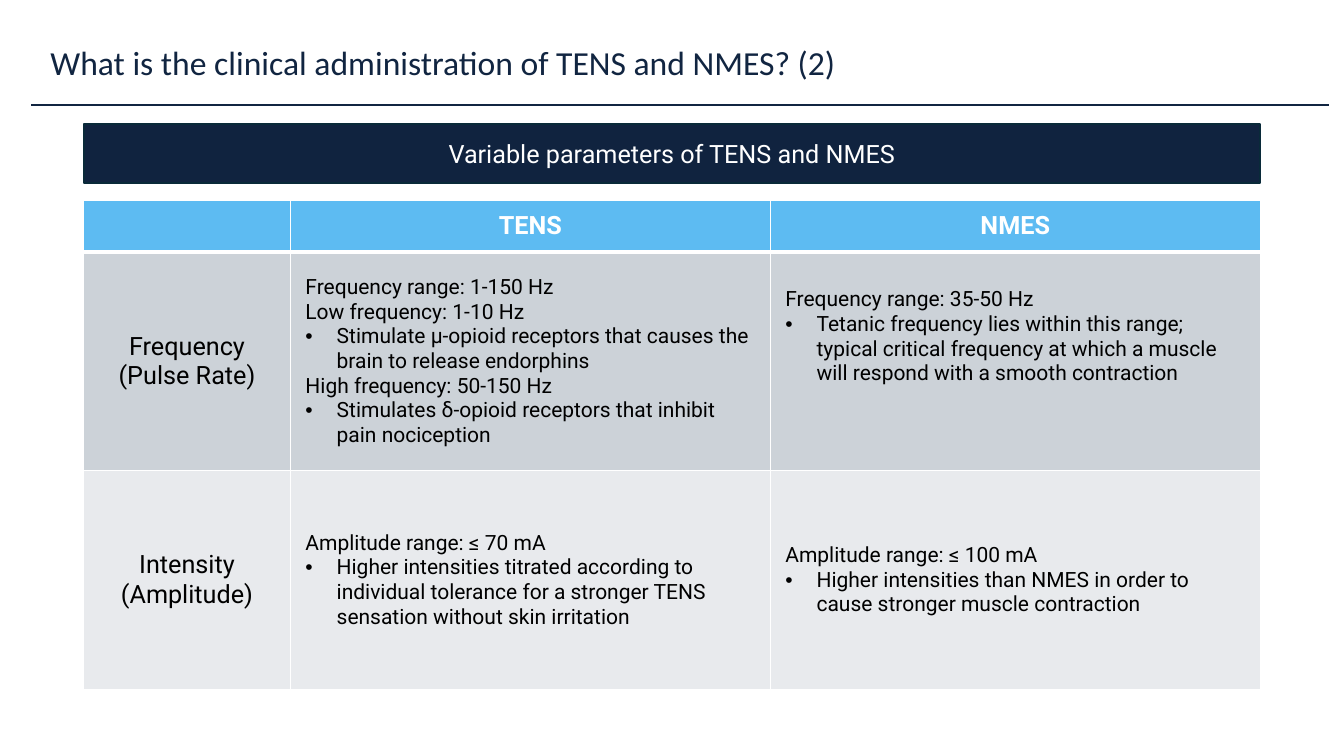
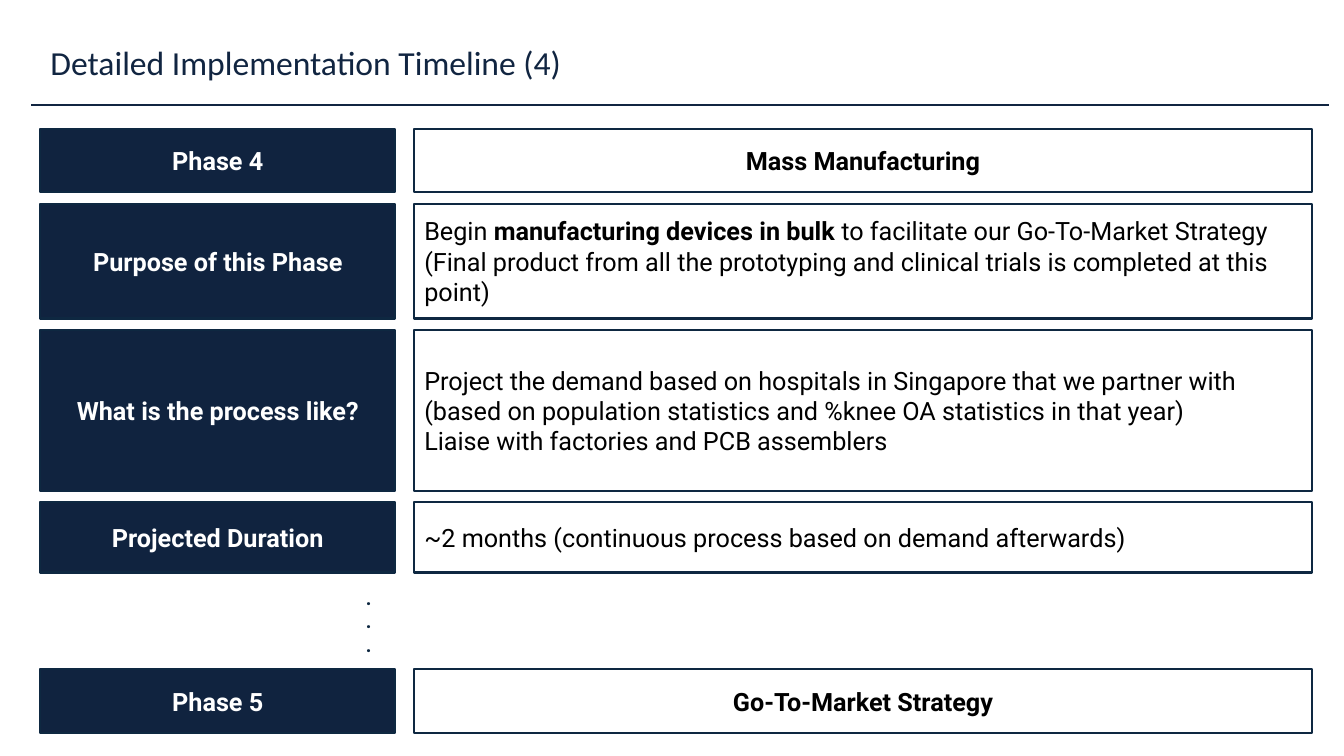
from lxml import etree
from pptx import Presentation
from pptx.dml.color import RGBColor
from pptx.enum.shapes import MSO_CONNECTOR, MSO_SHAPE
from pptx.enum.text import MSO_ANCHOR, MSO_AUTO_SIZE, PP_ALIGN
from pptx.oxml.ns import qn
from pptx.util import Inches, Pt

# Shared look
NAVY, TITLE_NAVY, OUTLINE, BANNER_LINE = "10233F", "112541", "0E2841", "092A39"
SKY, GREY, PALE, WHITE, BLACK = "5DBBF2", "CCD2D8", "E8EAED", "FFFFFF", "000000"
TITLE_FONT, BODY_FONT = "Calibri", "Roboto"
BULLET = "• "

# Two-column grid of the timeline
LABEL_LEFT, LABEL_WIDTH = 0.4, 3.52
DETAIL_LEFT, DETAIL_WIDTH = 4.11, 8.9
TIMELINE_TOP, ROW_GAP, DOTS_ROW = 1.28, 0.11, 0.74

# Table geometry
TABLE_LEFT, TABLE_TOP, TABLE_WIDTH = 0.83, 1.99, 11.67
COLUMN_WIDTHS = [2.05, 4.76, 4.86]
ROW_HEIGHTS = [0.51, 2.17, 2.17]
CELL_INSET, BULLET_INDENT = 0.15, 0.31
RAISED_INSET = 0.64

PARAMETERS = [
    ("Frequency (Pulse Rate)", GREY, [
        (["Frequency range: 1-150 Hz",
          "Low frequency: 1-10 Hz",
          "• Stimulate μ-opioid receptors that causes the brain to release endorphins",
          "High frequency: 50-150 Hz",
          "• Stimulates δ-opioid receptors that inhibit pain nociception"], CELL_INSET),
        (["Frequency range: 35-50 Hz",
          "• Tetanic frequency lies within this range; typical critical frequency "
          "at which a muscle will respond with a smooth contraction"], RAISED_INSET)]),
    ("Intensity (Amplitude)", PALE, [
        (["Amplitude range: ≤ 70 mA",
          "• Higher intensities titrated according to individual tolerance for a "
          "stronger TENS sensation without skin irritation"], CELL_INSET),
        (["Amplitude range: ≤ 100 mA",
          "• Higher intensities than NMES in order to cause stronger muscle "
          "contraction"], CELL_INSET)]),
]

# Label, detail paragraphs (** marks bold), height, detail is a heading
PHASE_ROWS = [
    ("Phase 4", ["Mass Manufacturing"], 0.63, True),
    ("Purpose of this Phase",
     ["Begin **manufacturing devices in bulk** to facilitate our Go-To-Market Strategy "
      "(Final product from all the prototyping and clinical trials is completed at this "
      "point)"], 1.14, False),
    ("What is the process like?",
     ["Project the demand based on hospitals in Singapore that we partner with "
      "(based on population statistics and %knee OA statistics in that year)",
      "Liaise with factories and PCB assemblers"], 1.6, False),
    ("Projected Duration",
     ["~2 months (continuous process based on demand afterwards)"], 0.7, False),
]
NEXT_PHASE = [("Phase 5", ["Go-To-Market Strategy"], 0.63, True)]


def color(value):
    return RGBColor.from_string(value)


def inches(*lengths):
    return [Inches(length) for length in lengths]


def add_bullet(paragraph):
    properties = paragraph._p.get_or_add_pPr()
    properties.set("marL", str(Inches(BULLET_INDENT)))
    properties.set("indent", str(-Inches(BULLET_INDENT)))
    etree.SubElement(properties, qn("a:buFont")).set("typeface", "Arial")
    etree.SubElement(properties, qn("a:buChar")).set("char", BULLET.strip())


def write(frame, lines, size, text_color, bold=False, align=PP_ALIGN.LEFT, font=BODY_FONT):
    """Fill a text frame; a leading bullet makes a list item, ** toggles bold."""
    for index, line in enumerate(lines):
        paragraph = frame.paragraphs[0] if index == 0 else frame.add_paragraph()
        paragraph.alignment = align
        if line.startswith(BULLET):
            add_bullet(paragraph)
        for position, part in enumerate(line.removeprefix(BULLET).split("**")):
            run = paragraph.add_run()
            run.text = part
            if position % 2:
                run.font.bold = True
        paragraph.font.name = font
        paragraph.font.size = Pt(size)
        paragraph.font.bold = bold
        paragraph.font.color.rgb = color(text_color)


def add_titled_slide(presentation, title):
    """Title-only slide with the shared heading and rule."""
    slide = presentation.slides.add_slide(presentation.slide_layouts[5])
    shape = slide.shapes.title
    shape.left, shape.top, shape.width, shape.height = inches(0.4, 0.37, 10.14, 0.5)
    frame = shape.text_frame
    frame.auto_size = MSO_AUTO_SIZE.NONE
    frame.vertical_anchor = MSO_ANCHOR.TOP
    write(frame, [title], 24, TITLE_NAVY, font=TITLE_FONT)

    rule = slide.shapes.add_connector(MSO_CONNECTOR.STRAIGHT, *inches(0.31, 1.04, 13.18, 1.04))
    rule.line.color.rgb = color(TITLE_NAVY)
    rule.line.width = Pt(1.5)
    etree.SubElement(rule._element.spPr, qn("a:effectLst"))
    return slide


def add_box(slide, bounds, lines, fill=None, line=OUTLINE, bold=False, align=PP_ALIGN.CENTER):
    """Outlined rectangle: white text when filled, black text when open."""
    shape = slide.shapes.add_shape(MSO_SHAPE.RECTANGLE, *inches(*bounds))
    shape.shadow.inherit = False
    if fill:
        shape.fill.solid()
        shape.fill.fore_color.rgb = color(fill)
    else:
        shape.fill.background()
    shape.line.color.rgb = color(line)
    shape.line.width = Pt(1.5)
    frame = shape.text_frame
    frame.word_wrap = True
    frame.vertical_anchor = MSO_ANCHOR.MIDDLE
    write(frame, lines, 18, WHITE if fill else BLACK, bold, align)


def style_cell(cell, fill, top=1, bottom=1):
    """White borders (widths in points), then the fill."""
    properties = cell._tc.get_or_add_tcPr()
    for side, width in (("L", 1), ("R", 1), ("T", top), ("B", bottom)):
        border = etree.SubElement(properties, qn(f"a:ln{side}"), w=str(Pt(width)))
        solid = etree.SubElement(border, qn("a:solidFill"))
        etree.SubElement(solid, qn("a:srgbClr"), val=WHITE)
    cell.fill.solid()
    cell.fill.fore_color.rgb = color(fill)
    cell.vertical_anchor = MSO_ANCHOR.MIDDLE


def add_parameter_table(slide):
    table = slide.shapes.add_table(
        len(ROW_HEIGHTS), len(COLUMN_WIDTHS),
        *inches(TABLE_LEFT, TABLE_TOP, TABLE_WIDTH, sum(ROW_HEIGHTS))).table
    table.first_row = table.horz_banding = False
    for column, width in zip(table.columns, COLUMN_WIDTHS):
        column.width = Inches(width)
    for row, height in zip(table.rows, ROW_HEIGHTS):
        row.height = Inches(height)

    # Header row
    for index, heading in enumerate(["", "TENS", "NMES"]):
        cell = table.cell(0, index)
        style_cell(cell, SKY, bottom=3)
        if heading:
            write(cell.text_frame, [heading], 18, WHITE, True, PP_ALIGN.CENTER)

    # One row per parameter
    for row, (label, fill, details) in enumerate(PARAMETERS, start=1):
        top = 3 if row == 1 else 1
        cell = table.cell(row, 0)
        style_cell(cell, fill, top)
        write(cell.text_frame, [label], 18, BLACK, align=PP_ALIGN.CENTER)
        for column, (lines, bottom_inset) in enumerate(details, start=1):
            cell = table.cell(row, column)
            style_cell(cell, fill, top)
            cell.margin_left = cell.margin_right = cell.margin_top = Inches(CELL_INSET)
            cell.margin_bottom = Inches(bottom_inset)
            write(cell.text_frame, lines, 15, BLACK)


def add_phase_rows(slide, rows, top):
    """Stack label and detail boxes; return the top of the next row."""
    for label, details, height, heading in rows:
        add_box(slide, (LABEL_LEFT, top, LABEL_WIDTH, height), [label], NAVY, bold=True)
        add_box(slide, (DETAIL_LEFT, top, DETAIL_WIDTH, height), details, bold=heading,
                align=PP_ALIGN.CENTER if heading else PP_ALIGN.LEFT)
        top += height + ROW_GAP
    return top


def add_dots(slide, top):
    box = slide.shapes.add_textbox(*inches(3.53, top, 0.26, 0.81))
    box.text_frame.word_wrap = False
    write(box.text_frame, ["."] * 3, 14, OUTLINE, bold=True)


def main():
    presentation = Presentation()
    presentation.slide_width, presentation.slide_height = inches(13.33, 7.5)

    # Parameters slide
    slide = add_titled_slide(presentation,
                             "What is the clinical administration of TENS and NMES? (2)")
    add_parameter_table(slide)
    add_box(slide, (TABLE_LEFT, 1.23, TABLE_WIDTH, 0.59),
            ["Variable parameters of TENS and NMES"], NAVY, BANNER_LINE)

    # Timeline slide
    slide = add_titled_slide(presentation, "Detailed Implementation Timeline (4)")
    dots_top = add_phase_rows(slide, PHASE_ROWS, TIMELINE_TOP)
    add_dots(slide, dots_top - 0.03)
    add_phase_rows(slide, NEXT_PHASE, dots_top + DOTS_ROW + ROW_GAP)

    presentation.save("out.pptx")


if __name__ == "__main__":
    main()
